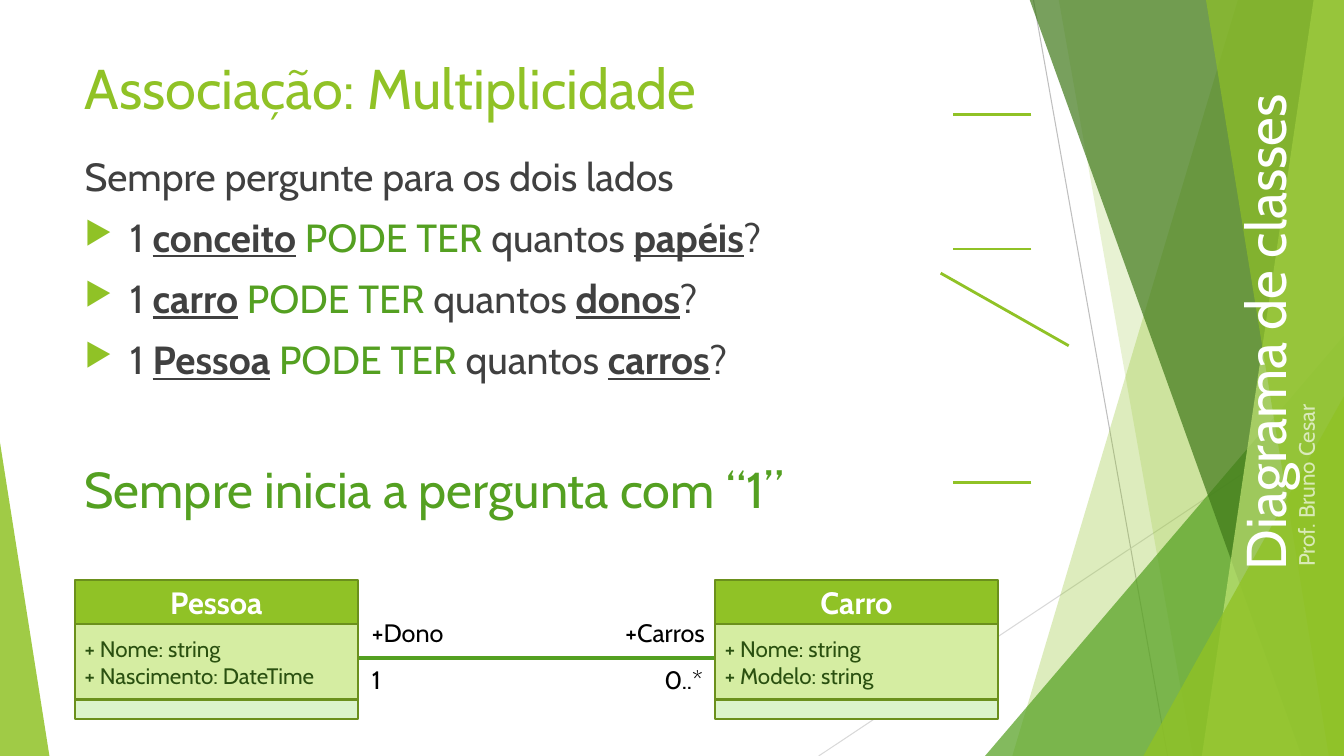
from lxml.etree import SubElement
from pptx import Presentation
from pptx.dml.color import RGBColor
from pptx.enum.shapes import MSO_CONNECTOR, MSO_SHAPE
from pptx.enum.text import MSO_ANCHOR, MSO_AUTO_SIZE, PP_ALIGN
from pptx.oxml.ns import qn
from pptx.util import Inches, Pt

COLORS = {
    "lime": "90C226", "green": "54A021", "forest": "3F7819", "pale": "C0E474",
    "outline": "6B901C", "attributes": "D5EDA2", "operations": "DBF4CA",
    "member": "2A5010", "text": "404040", "black": "000000", "white": "FFFFFF",
    "gray": "BFBFBF", "light gray": "D9D9D9",
}
FONT = "Cabin"
LEFT = 0.74
TOP, BOTTOM, RIGHT = -0.01, 7.5, 13.33


class SlideBuilder:
    def __init__(self, slide):
        self.slide = slide
        self.shapes = slide.shapes

    def paint(self, color_format, color, alpha=None):
        """Set a solid fill, with alpha as percent opacity."""
        color_format.solid()
        color_format.fore_color.rgb = RGBColor.from_string(COLORS[color])
        if alpha is not None:
            srgb = color_format._xPr.find(qn("a:solidFill"))[0]
            SubElement(srgb, qn("a:alpha"), val=str(alpha * 1000))

    def run(self, paragraph, text, size, color, bold=False, underline=False, alpha=None):
        run = paragraph.add_run()
        run.text = text
        font = run.font
        font.name, font.size = FONT, Pt(size)
        font.bold, font.underline = bold, underline
        self.paint(font.fill, color, alpha)

    def line(self, start, end, color, width):
        connector = self.shapes.add_connector(
            MSO_CONNECTOR.STRAIGHT, *map(Inches, start + end))
        connector.line.width = Pt(width)
        self.paint(connector.line.fill, color)
        SubElement(connector._element.spPr, qn("a:effectLst"))

    def finish(self, shape, color, alpha=None):
        shape.shadow.inherit = False
        self.paint(shape.fill, color, alpha)
        shape.line.fill.background()

    def polygon(self, points, color, alpha):
        corners = [(Inches(x), Inches(y)) for x, y in points]
        builder = self.shapes.build_freeform(*corners[0])
        builder.add_line_segments(corners[1:], close=True)
        self.finish(builder.convert_to_shape(), color, alpha)

    def triangle(self, box, apex, color, alpha):
        triangle = self.shapes.add_shape(MSO_SHAPE.ISOSCELES_TRIANGLE, *map(Inches, box))
        triangle.adjustments[0] = apex
        self.finish(triangle, color, alpha)

    def title(self, box, text, size, color):
        title = self.shapes.title
        title.left, title.top, title.width, title.height = map(Inches, box)
        frame = title.text_frame
        frame.auto_size = MSO_AUTO_SIZE.NONE
        frame.vertical_anchor = MSO_ANCHOR.TOP
        paragraph = frame.paragraphs[0]
        paragraph.alignment = PP_ALIGN.LEFT
        self.run(paragraph, text, size, color)

    def text_box(self, box, wrap=True, rotation=0):
        text_box = self.shapes.add_textbox(*map(Inches, box))
        text_box.rotation = rotation
        text_box.text_frame.word_wrap = wrap
        return text_box.text_frame

    def label(self, box, text, size, color, align=PP_ALIGN.LEFT, wrap=True,
              rotation=0, alpha=None):
        paragraph = self.text_box(box, wrap, rotation).paragraphs[0]
        paragraph.alignment = align
        self.run(paragraph, text, size, color, alpha=alpha)

    def bullet(self, paragraph):
        properties = paragraph._p.get_or_add_pPr()
        properties.set("marL", str(Inches(0.45)))
        properties.set("indent", str(-Inches(0.45)))
        bullet_color = SubElement(properties, qn("a:buClr"))
        SubElement(bullet_color, qn("a:srgbClr"), val=COLORS["lime"])
        SubElement(properties, qn("a:buSzPct"), val="80000")
        SubElement(properties, qn("a:buChar"), char="▶")

    def compartment(self, box, fill, lines=(), size=16, color="member",
                    bold=False, align=PP_ALIGN.LEFT):
        """Draw one section of a class box."""
        section = self.shapes.add_shape(MSO_SHAPE.RECTANGLE, *map(Inches, box))
        self.finish(section, fill)
        self.paint(section.line.fill, "outline")
        section.line.width = Pt(1.5)
        section.text_frame.vertical_anchor = MSO_ANCHOR.MIDDLE
        paragraph = section.text_frame.paragraphs[0]
        paragraph.alignment = align
        for index, text in enumerate(lines):
            if index:
                paragraph.add_line_break()
            self.run(paragraph, text, size, color, bold)

    def class_box(self, left, name, attributes):
        width = 2.81
        self.compartment((left, 5.75, width, 0.44), "lime", [name], 22, "white",
                         True, PP_ALIGN.CENTER)
        self.compartment((left, 6.19, width, 0.75), "attributes", attributes)
        self.compartment((left, 6.94, width, 0.19), "operations")


def draw_backdrop(builder):
    def band(top_x, bottom_x, color, alpha):
        builder.polygon([(top_x, TOP), (RIGHT, TOP), (RIGHT, BOTTOM), (bottom_x, BOTTOM)],
                        color, alpha)

    builder.line((10.25, 0), (11.58, BOTTOM), "gray", 0.75)
    builder.line((RIGHT, 4.03), (8.12, BOTTOM), "light gray", 0.75)
    band(12.28, 10.04, "lime", 30)
    band(10.5, 11.83, "lime", 20)
    builder.triangle((9.77, 3.33, 3.56, 4.17), 1, "green", 72)
    band(10.21, 12.91, "forest", 70)
    band(13.03, 11.92, "pale", 70)
    band(11.96, 13.18, "lime", 65)
    builder.triangle((11.34, 3.93, 1.99, 3.57), 1, "lime", 80)
    builder.triangle((0, 4.39, 0.49, 3.11), 0, "lime", 85)


def draw_questions(builder):
    frame = builder.text_box((LEFT, 1.46, 8.28, 4.1))
    builder.run(frame.paragraphs[0], "Sempre pergunte para os dois lados", 28, "text")
    for owner, owned in [("conceito", "papéis"), ("carro", "donos"), ("Pessoa", "carros")]:
        question = frame.add_paragraph()
        question.space_before = Pt(10)
        builder.bullet(question)
        for text, color, strong in [
            ("1 ", "text", False), (owner, "text", True), (" ", "text", False),
            ("PODE TER ", "green", False), ("quantos ", "text", False),
            (owned, "text", True), ("?", "text", False),
        ]:
            builder.run(question, text, 28, color, strong, strong)
    reminder = frame.add_paragraph()
    reminder.space_before = Pt(54)
    builder.run(reminder, "Sempre inicia a pergunta com “1”", 36, "green")


def draw_association(builder):
    builder.line((2.58, 6.53), (8.24, 6.53), "green", 3)
    builder.class_box(LEFT, "Pessoa", ["+ Nome: string", "+ Nascimento: DateTime"])
    builder.class_box(7.09, "Carro", ["+ Nome: string", "+ Modelo: string"])
    for left, top, width, text, align, wrap in [
        (6.46, 6.54, 0.61, "0..*", PP_ALIGN.RIGHT, False),
        (5.88, 6.08, 1.21, "+Carros", PP_ALIGN.RIGHT, True),
        (3.59, 6.54, 0.34, "1", PP_ALIGN.LEFT, False),
        (3.59, 6.08, 1.21, "+Dono", PP_ALIGN.LEFT, True),
    ]:
        builder.label((left, top, width, 0.4), text, 18, "black", align, wrap)


def main():
    presentation = Presentation()
    presentation.slide_width, presentation.slide_height = Inches(RIGHT), Inches(BOTTOM)
    builder = SlideBuilder(presentation.slides.add_slide(presentation.slide_layouts[5]))

    draw_backdrop(builder)
    builder.title((LEFT, 0.48, 9.97, 0.93), "Associação: Multiplicidade", 40, "lime")
    draw_questions(builder)
    builder.label((9.84, 2.67, 5.4, 0.77), "Diagrama de classes", 40, "white", rotation=270)
    builder.label((11.8, 4.3, 2.39, 0.45), "Prof. Bruno Cesar", 16, "white",
                  rotation=270, alpha=65)
    draw_association(builder)
    builder.line((9.33, 2.71), (10.6, 3.43), "lime", 2)
    for y in (1.14, 2.47, 4.79):
        builder.line((10.23, y), (9.45, y), "lime", 2)

    presentation.save("out.pptx")


if __name__ == "__main__":
    main()
